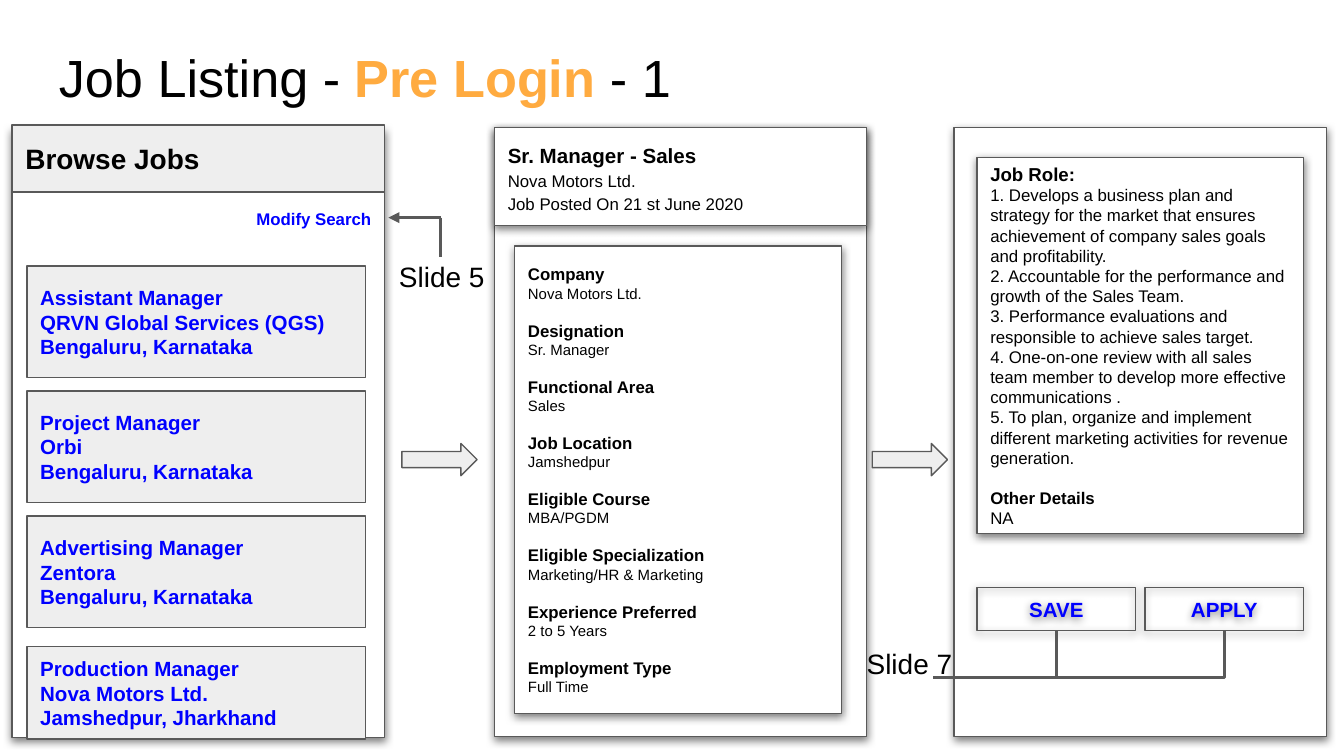
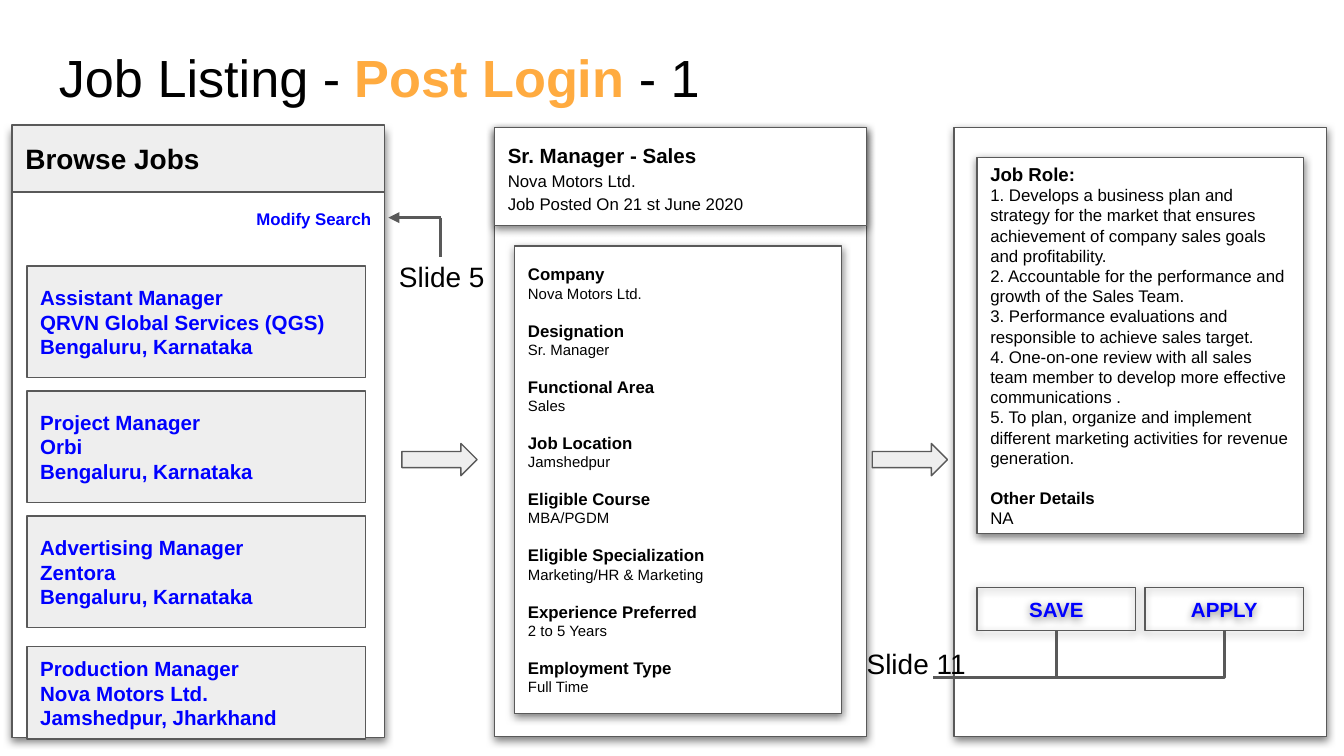
from dataclasses import dataclass
from typing import NamedTuple, Optional

from lxml import etree
from pptx import Presentation
from pptx.dml.color import RGBColor
from pptx.enum.shapes import MSO_CONNECTOR, MSO_SHAPE
from pptx.enum.text import MSO_ANCHOR, PP_ALIGN
from pptx.oxml.ns import qn
from pptx.util import Inches, Pt

RECT, ARROW = MSO_SHAPE.RECTANGLE, MSO_SHAPE.RIGHT_ARROW
STRAIGHT, ELBOW = MSO_CONNECTOR.STRAIGHT, MSO_CONNECTOR.ELBOW
TOP, MIDDLE = MSO_ANCHOR.TOP, MSO_ANCHOR.MIDDLE
LEFT, CENTER, RIGHT = PP_ALIGN.LEFT, PP_ALIGN.CENTER, PP_ALIGN.RIGHT


@dataclass(frozen=True)
class Theme:
    font: str = "Arial"
    ink: str = "000000"
    link: str = "0000FF"
    accent: str = "FFAB40"
    paper: str = "FFFFFF"
    tint: str = "EEEEEE"
    outline: str = "595959"
    title: int = 28
    heading: int = 15
    card: int = 11
    role: int = 10
    body: int = 9
    small: int = 8
    thin: float = 0.75
    thick: float = 1.5
    inset: float = 0.1


THEME = Theme()


class Box(NamedTuple):
    left: float
    top: float
    width: float
    height: float


class Span(NamedTuple):
    text: str
    size: int
    bold: bool = False
    color: str = THEME.ink


class Line(NamedTuple):
    spans: list[Span]
    align: PP_ALIGN = LEFT
    before: float = 0
    spacing: Optional[float] = None


class JobCard(NamedTuple):
    role: str
    employer: str
    place: str


class LoginState(NamedTuple):
    name: str
    action_target: str
    target_width: float


class Point(NamedTuple):
    x: float
    y: float


# Content
STATES = [
    LoginState("Pre Login", "Slide 7", 0.92),
    LoginState("Post Login", "Slide 11", 0.99),
]
EMPLOYER = "Nova Motors Ltd."
JOBS = [
    JobCard("Assistant Manager", "QRVN Global Services (QGS)", "Bengaluru, Karnataka"),
    JobCard("Project Manager", "Orbi", "Bengaluru, Karnataka"),
    JobCard("Advertising Manager", "Zentora", "Bengaluru, Karnataka"),
    JobCard("Production Manager", EMPLOYER, "Jamshedpur, Jharkhand"),
]
JOB_FIELDS = {
    "Company": EMPLOYER,
    "Designation": "Sr. Manager",
    "Functional Area": "Sales",
    "Job Location": "Jamshedpur",
    "Eligible Course": "MBA/PGDM",
    "Eligible Specialization": "Marketing/HR & Marketing",
    "Experience Preferred": "2 to 5 Years",
    "Employment Type": "Full Time",
}
DUTIES = [
    "1. Develops a business plan and strategy for the market that ensures "
    "achievement of company sales goals and profitability.",
    "2. Accountable for the performance and growth of the Sales Team.",
    "3. Performance evaluations and responsible to achieve sales target.",
    "4. One-on-one review with all sales team member to develop more "
    "effective communications .",
    "5. To plan, organize and implement different marketing activities for "
    "revenue generation.",
]

# Layout
PANEL_W, PANEL_H = 2.77, 4.53
BROWSE_X, DETAIL_X, ROLE_X = 0.09, 3.68, 7.1
PANEL_Y = 0.95
CARD_TOP, CARD_PITCH, CARD_H = 1.98, 0.93, 0.83
LAST_CARD_TOP, LAST_CARD_H = 4.81, 0.69
BUTTON_X, BUTTON_PITCH = 7.27, 1.25
BUTTON_Y, BUTTON_W, BUTTON_H = 4.37, 1.18, 0.32


def write(shape, lines: list[Line], anchor=MIDDLE) -> None:
    frame = shape.text_frame
    frame.word_wrap = True
    frame.vertical_anchor = anchor
    frame.margin_left = frame.margin_right = Inches(THEME.inset)
    frame.margin_top = frame.margin_bottom = Inches(THEME.inset)
    for index, line in enumerate(lines):
        paragraph = frame.add_paragraph() if index else frame.paragraphs[0]
        paragraph.alignment = line.align
        if line.before:
            paragraph.space_before = Pt(line.before)
        if line.spacing:
            paragraph.line_spacing = line.spacing
        for span in line.spans:
            run = paragraph.add_run()
            run.text = span.text
            run.font.name = THEME.font
            run.font.size = Pt(span.size)
            run.font.bold = span.bold
            run.font.color.rgb = RGBColor.from_string(span.color)


def add_shadow(shape) -> None:
    effects = shape._element.spPr.find(qn("a:effectLst"))
    shadow = etree.SubElement(
        effects, qn("a:outerShdw"), blurRad=str(Pt(4.5)), dist=str(Pt(1.5)),
        dir="5400000", algn="bl", rotWithShape="0")
    color = etree.SubElement(shadow, qn("a:srgbClr"), val=THEME.ink)
    etree.SubElement(color, qn("a:alpha"), val="50000")


def add_block(slide, box: Box, fill: Optional[str] = THEME.paper,
              lines: Optional[list[Line]] = None, shadow: bool = False, kind=RECT) -> None:
    shape = slide.shapes.add_shape(kind, *map(Inches, box))
    shape.shadow.inherit = False
    if fill:
        shape.fill.solid()
        shape.fill.fore_color.rgb = RGBColor.from_string(fill)
    else:
        shape.fill.background()
    shape.line.color.rgb = RGBColor.from_string(THEME.outline)
    shape.line.width = Pt(THEME.thin)
    if shadow:
        add_shadow(shape)
    if lines:
        write(shape, lines)


def add_label(slide, box: Box, line: Line) -> None:
    write(slide.shapes.add_textbox(*map(Inches, box)), [line], TOP)


def style_connector(connector, arrow: bool = False) -> None:
    connector.line.color.rgb = RGBColor.from_string(THEME.outline)
    connector.line.width = Pt(THEME.thick)
    properties = connector._element.spPr
    if arrow:
        etree.SubElement(properties.find(qn("a:ln")), qn("a:tailEnd"), type="triangle")
    etree.SubElement(properties, qn("a:effectLst"))


def add_line(slide, start: Point, end: Point, arrow: bool = False) -> None:
    connector = slide.shapes.add_connector(STRAIGHT, *map(Inches, (*start, *end)))
    style_connector(connector, arrow)


def add_down_left_elbow(slide, start: Point, end: Point) -> None:
    """Go down from start, then left to end: a one-bend elbow turned by 90 degrees."""
    middle = Point((start.x + end.x) / 2, (start.y + end.y) / 2)
    half_w, half_h = (end.y - start.y) / 2, (start.x - end.x) / 2
    corners = (middle.x - half_w, middle.y - half_h, middle.x + half_w, middle.y + half_h)
    connector = slide.shapes.add_connector(ELBOW, *map(Inches, corners))
    properties = connector._element.spPr
    properties.find(qn("a:prstGeom")).set("prst", "bentConnector2")
    properties.find(qn("a:xfrm")).set("rot", "5400000")
    style_connector(connector)


def draw_title(slide, state: LoginState) -> None:
    spans = [
        Span("Job Listing - ", THEME.title),
        Span(state.name, THEME.title, True, THEME.accent),
        Span(" - 1", THEME.title),
    ]
    add_label(slide, Box(0.34, 0.24, 9.36, 0.63), Line(spans))


def draw_browse_panel(slide) -> None:
    add_block(slide, Box(BROWSE_X, 0.96, PANEL_W, PANEL_H), shadow=True)
    add_block(slide, Box(BROWSE_X, 0.93, PANEL_W, 0.5), THEME.tint,
              [Line([Span("Browse Jobs", THEME.heading, True)])])
    add_label(slide, Box(BROWSE_X, 1.48, PANEL_W, 0.5),
              Line([Span("Modify Search", THEME.body, True, THEME.link)], RIGHT))
    for index, job in enumerate(JOBS):
        top, height = CARD_TOP + index * CARD_PITCH, CARD_H
        if job is JOBS[-1]:  # the panel edge cuts the last card short
            top, height = LAST_CARD_TOP, LAST_CARD_H
        lines = [Line([Span(text, THEME.card, True, THEME.link)]) for text in job]
        add_block(slide, Box(0.2, top, 2.52, height), THEME.tint, lines)


def draw_detail_panel(slide) -> None:
    add_block(slide, Box(DETAIL_X, PANEL_Y, PANEL_W, PANEL_H), shadow=True)
    header = [
        Span("Sr. Manager - Sales", THEME.card, True),
        Span(EMPLOYER, THEME.body),
        Span("Job Posted On 21 st June 2020", THEME.body),
    ]
    add_block(slide, Box(DETAIL_X, PANEL_Y, PANEL_W, 0.73),
              lines=[Line([span], spacing=1.15) for span in header], shadow=True)
    fields = []
    for name, value in JOB_FIELDS.items():
        fields.append(Line([Span(name, THEME.body, True)], before=9.7 if fields else 0))
        fields.append(Line([Span(value, THEME.small)]))
    add_block(slide, Box(3.83, 1.83, 2.43, 3.48), lines=fields, shadow=True)


def draw_role_panel(slide) -> None:
    add_block(slide, Box(ROLE_X, PANEL_Y, PANEL_W, PANEL_H), shadow=True)
    lines = [
        Line([Span("Job Role:", THEME.role, True)]),
        *(Line([Span(duty, THEME.body)]) for duty in DUTIES),
        Line([Span("Other Details", THEME.body, True)], before=10.8),
        Line([Span("NA", THEME.body)]),
    ]
    add_block(slide, Box(BUTTON_X, 1.17, 2.43, 2.8), lines=lines, shadow=True)
    for index, action in enumerate(("SAVE", "APPLY")):
        add_block(slide, Box(BUTTON_X + index * BUTTON_PITCH, BUTTON_Y, BUTTON_W, BUTTON_H), None,
                  [Line([Span(action, THEME.card, True, THEME.link)], CENTER)], shadow=True)


def draw_flow(slide, state: LoginState) -> None:
    # Arrows between the panels
    for left in (2.99, 6.49):
        add_block(slide, Box(left, 3.3, 0.56, 0.24), THEME.tint, kind=ARROW)

    # Link back to the search slide
    corner = Point(3.28, 1.62)
    add_line(slide, corner, Point(2.89, corner.y), arrow=True)
    add_line(slide, corner, Point(corner.x, 1.91))
    add_label(slide, Box(2.87, 1.83, 0.92, 0.32), Line([Span("Slide 5", THEME.heading)]))

    # Link from the buttons to the next slide
    save_x, button_bottom, rail_y = 7.86, BUTTON_Y + BUTTON_H, 5.04
    for start_x, end_x in ((save_x, 6.94), (save_x + BUTTON_PITCH, save_x)):
        add_down_left_elbow(slide, Point(start_x, button_bottom), Point(end_x, rail_y))
    add_label(slide, Box(6.35, 4.71, state.target_width, 0.32),
              Line([Span(state.action_target, THEME.heading)]))


def main() -> None:
    deck = Presentation()
    deck.slide_width = Inches(10)
    deck.slide_height = Inches(10) * 9 // 16  # widescreen
    blank = deck.slide_layouts[6]
    for state in STATES:
        slide = deck.slides.add_slide(blank)
        draw_title(slide, state)
        draw_browse_panel(slide)
        draw_detail_panel(slide)
        draw_role_panel(slide)
        draw_flow(slide, state)
    deck.save("out.pptx")


if __name__ == "__main__":
    main()
